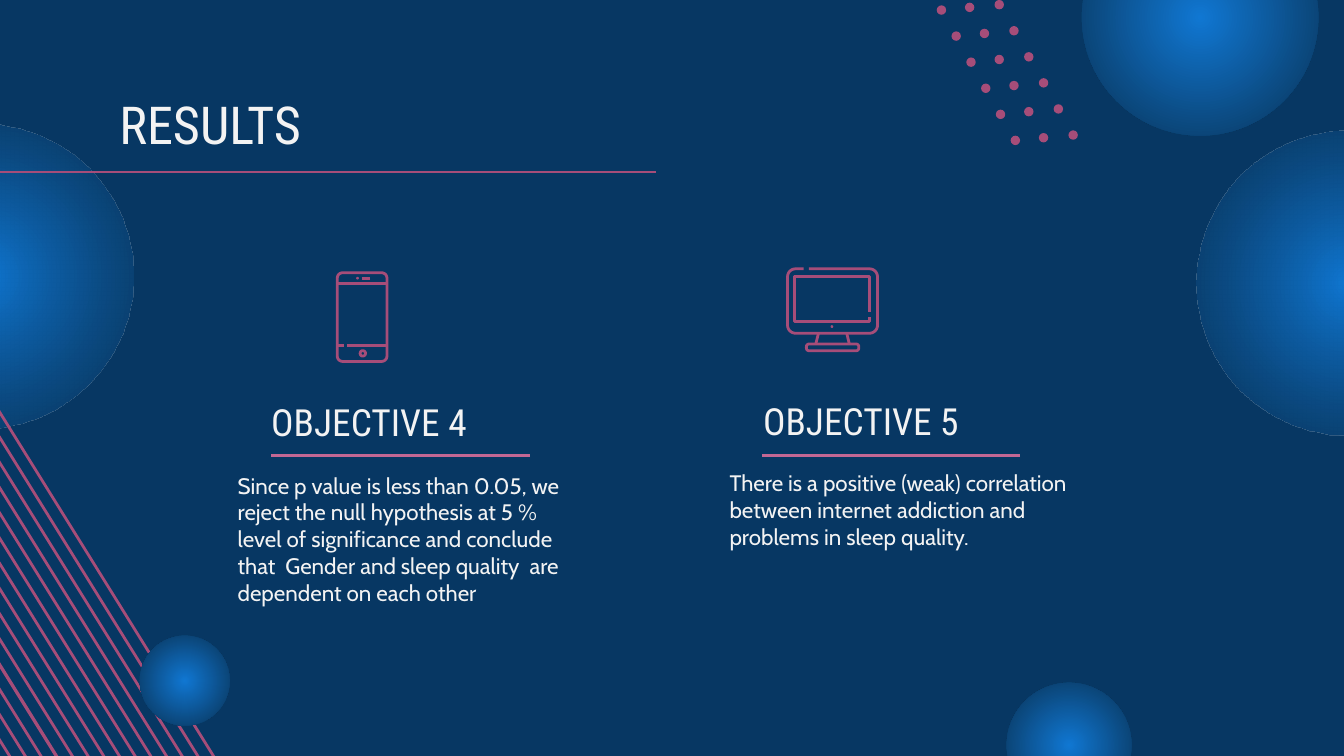
import math
from pptx import Presentation
from pptx.dml.color import RGBColor
from pptx.enum import shapes as kinds, text as txt
from pptx.oxml import parse_xml
from pptx.oxml.ns import qn
from pptx.util import Inches, Pt

COLORS = {"back": "073763", "rose": "A64D79", "rule": "C26794",
          "text": "F3F3F3", "glow": "1077D2", "edge": "093153"}
HEAD, BODY = "Roboto Condensed", "Cabin"
A_NS = "http://schemas.openxmlformats.org/drawingml/2006/main"

# Content: words, box, format
TITLE = ("RESULTS", (0.79, 0.59, 8.43, 0.63))
GOALS = [
    ("OBJECTIVE 4", (1.92, 2.85, 2.16, 0.58),
     "Since p value is less than 0.05, we reject the null hypothesis at 5 % "
     "level of significance and conclude that  Gender and sleep quality  are "
     "dependent on each other", (1.67, 3.41, 2.67, 1.23)),
    ("OBJECTIVE 5", (5.58, 2.84, 2.84, 0.58),
     "There is a positive (weak) correlation between internet addiction and "
     "problems in sleep quality.", (5.33, 3.39, 3, 1.23)),
]
RULES = [(-0.15, 1.28, 4.88, "rose"), (2.02, 3.39, 3.94, "rule"),
         (5.67, 3.39, 7.59, "rule")]

# Decoration: left, top, diameter, edge opacity
ORBS = [(8.05, -0.75, 1.76, 100), (8.9, 0.97, 2.27, 68),
        (-1.28, 0.92, 2.27, 68), (7.49, 5.08, 0.93, 100)]
FRONT_ORB = (1.04, 4.73, 0.67, 100)
STRIPES = [(-0.89 - 0.92 * i / 13, 1.64 + 0.96 * i / 13) for i in range(14)]
STRIPES.append((-1.57, 2.43))
DOT_TOPS = [(6.97, 0.04), (7.18, 0.02), (7.4, 0)]

deck = Presentation()
deck.slide_width = Inches(10)
deck.slide_height = deck.slide_width * 9 // 16
slide = deck.slides.add_slide(deck.slide_layouts[6])
parts = slide.shapes


def color(name):
    return RGBColor.from_string(COLORS[name])


def add_text(words, box, size=12, font=BODY, anchor=txt.MSO_ANCHOR.TOP):
    frame = parts.add_textbox(*map(Inches, box)).text_frame
    frame.word_wrap = True
    frame.vertical_anchor = anchor
    frame.margin_left = frame.margin_right = Inches(0.1)
    frame.margin_top = frame.margin_bottom = Inches(0.1)
    para = frame.paragraphs[0]
    para.text = words
    para.font.size, para.font.name = Pt(size), font
    para.font.color.rgb = color("text")


def add_line(x1, y1, x2, y2, tone="rose"):
    line = parts.add_connector(kinds.MSO_CONNECTOR.STRAIGHT,
                               *map(Inches, (x1, y1, x2, y2)))
    line.line.color.rgb, line.line.width = color(tone), Pt(1.5)
    props = line._element.spPr
    props.append(props.makeelement(qn("a:effectLst"), {}))


def add_oval(x, y, size):
    oval = parts.add_shape(kinds.MSO_SHAPE.OVAL, *map(Inches, (x, y, size, size)))
    oval.shadow.inherit = False
    oval.line.fill.background()
    return oval


def add_dot(x, y, size):
    dot = add_oval(x, y, size)
    dot.fill.solid()
    dot.fill.fore_color.rgb = color("rose")


def add_orb(x, y, size, alpha):
    orb = add_oval(x, y, size)
    orb.fill.background()
    props = orb._element.spPr
    props.replace(props.find(qn("a:noFill")), parse_xml(
        f'<a:gradFill xmlns:a="{A_NS}"><a:gsLst>'
        f'<a:gs pos="0"><a:srgbClr val="{COLORS["glow"]}"/></a:gs>'
        f'<a:gs pos="100000"><a:srgbClr val="{COLORS["edge"]}">'
        f'<a:alpha val="{alpha * 1000}"/></a:srgbClr></a:gs></a:gsLst>'
        '<a:path path="circle"><a:fillToRect l="50000" t="50000" r="50000" '
        'b="50000"/></a:path></a:gradFill>'))


def add_stroke(points, close=False):
    spots = [(Inches(x), Inches(y)) for x, y in points]
    pen = parts.build_freeform(*spots[0])
    pen.add_line_segments(spots[1:], close=close)
    shape = pen.convert_to_shape()
    shape.shadow.inherit = False
    shape.fill.background()
    shape.line.color.rgb, shape.line.width = color("rose"), Pt(1.5)


def rounded(x1, y1, x2, y2, r):
    """Points clockwise from the right end of the top side."""
    turns = [(x2 - r, y1 + r, -90), (x2 - r, y2 - r, 0),
             (x1 + r, y2 - r, 90), (x1 + r, y1 + r, 180)]
    return [(cx + r * math.cos(math.radians(a + step)),
             cy + r * math.sin(math.radians(a + step)))
            for cx, cy, a in turns for step in range(0, 91, 15)]


# Background and rear orbs
slide.background.fill.solid()
slide.background.fill.fore_color.rgb = color("back")
for orb in ORBS:
    add_orb(*orb)

# Diagonal stripes, dot grid, front orb
for x, y in STRIPES:
    add_line(x, y, x + 3.01, y + 4.84)
for x, y in DOT_TOPS:
    for row in range(6):
        add_dot(x + 0.55 * row / 5, y + 0.97 * row / 5, 0.07)
add_orb(*FRONT_ORB)

# Text
add_text(*TITLE, size=28, font=HEAD)
for name, name_box, words, box in GOALS:
    add_text(words, box)
    add_text(name, name_box, size=20, font=HEAD, anchor=txt.MSO_ANCHOR.MIDDLE)

# Monitor icon: case and screen each have a small gap
add_stroke([(6.02, 2)] + rounded(5.86, 2, 6.53, 2.48, 0.06) + [(5.98, 2)])
add_stroke([(6.47, 2.36), (6.47, 2.39), (5.91, 2.39), (5.91, 2.06),
            (6.47, 2.06), (6.47, 2.32)])
add_stroke(rounded(6, 2.56, 6.39, 2.61, 0.02), close=True)
add_line(6.09, 2.48, 6.07, 2.56)
add_line(6.3, 2.48, 6.32, 2.56)
add_dot(6.18, 2.42, 0.02)

# Phone icon
add_stroke(rounded(2.51, 2.03, 2.88, 2.69, 0.04), close=True)
add_stroke(rounded(2.68, 2.61, 2.72, 2.65, 0.02), close=True)
for x1, x2, y in [(2.51, 2.88, 2.11), (2.51, 2.56, 2.57),
                  (2.58, 2.88, 2.57), (2.69, 2.75, 2.07)]:
    add_line(x1, y, x2, y)
add_dot(2.65, 2.06, 0.02)

# Rules under the headings
for x1, y, x2, tone in RULES:
    add_line(x1, y, x2, y, tone)

deck.save("out.pptx")
